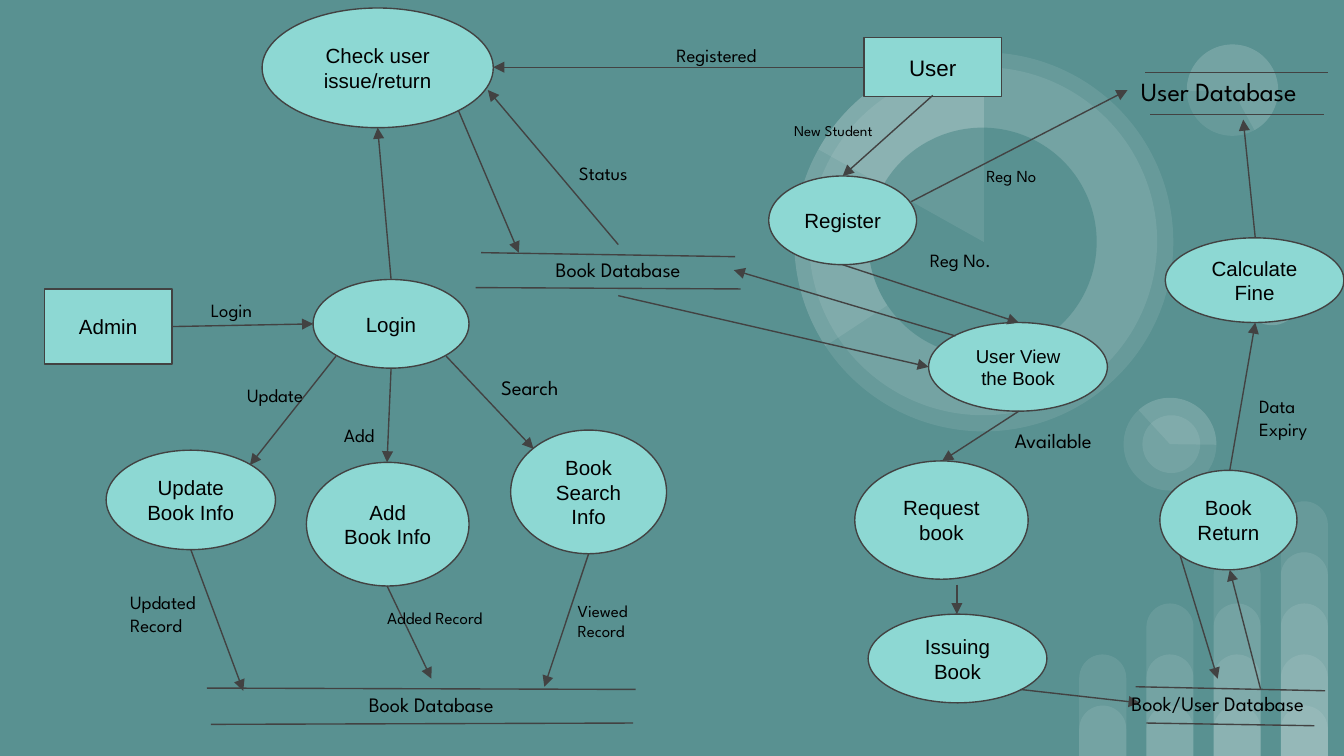
from typing import NamedTuple

from lxml import etree
from pptx import Presentation
from pptx import util as u
from pptx.dml.color import RGBColor
from pptx.enum import shapes, text
from pptx.oxml.ns import qn

COLORS = {"back": "599191", "node": "8DD8D3", "line": "424242",
          "text": "000000", "veil": "FFFFFF"}
SHAPE = shapes.MSO_SHAPE
SLIDE_W = 10
SLIDE_H = SLIDE_W * 9 / 16
VEIL_ALPHA = 9
PAD = 0.1


class Disc(NamedTuple):
    left: float
    top: float
    size: float
    turn: float = 0
    wedge: tuple[float, float] | None = None  # start and end in degrees
    color: str = "veil"


class Node(NamedTuple):
    label: str
    left: float
    top: float
    width: float
    height: float
    size: float = 11
    kind: SHAPE = SHAPE.OVAL


class Label(NamedTuple):
    wording: str
    left: float
    top: float
    width: float
    height: float
    size: float = 10
    centred: bool = False


class Line(NamedTuple):
    x1: float
    y1: float
    x2: float
    y2: float


DISCS = [
    Disc(9.25, 1.99, 0.43), Disc(9.25, 1.99, 0.43, 0, (322.95, 270)),
    Disc(7.08, 3.81, 0.35, 196.2), Disc(7.08, 3.81, 0.35, 196.2, (322.95, 270)),
    Disc(8.36, 2.96, 0.69, 90), Disc(8.36, 2.96, 0.69, 90, (137.41, 270.77)),
    Disc(8.5, 3.09, 0.43, 90),
    Disc(8.83, 0.33, 0.68, 215.9), Disc(8.83, 0.33, 0.68, 215.9, (322.95, 205.23)),
    Disc(5.91, 0.39, 2.82), Disc(6.02, 0.5, 2.59, 34.1),
    Disc(5.91, 0.39, 2.82, 0, (146.69, 270)),
    Disc(6.46, 0.95, 1.7, 34.1, color="back"),
    Disc(5.91, 0.39, 2.82, 0, (209.24, 270)),
]

NODES = [
    Node("Check user issue/return", 1.95, 0.06, 1.72, 0.89),
    Node("Register", 5.72, 1.31, 1.1, 0.66),
    Node("Book Return", 8.63, 3.5, 1.02, 0.74),
    Node("Calculate Fine", 8.67, 1.77, 1.33, 0.63),
    Node("Update Book Info", 0.79, 3.35, 1.26, 0.74),
    Node("User View the Book", 6.91, 2.4, 1.33, 0.66, 10),
    Node("Request book", 6.36, 3.43, 1.29, 0.88),
    Node("Issuing Book", 6.46, 4.57, 1.33, 0.66),
    Node("Login", 2.33, 2.08, 1.16, 0.66),
    Node("Add Book Info", 2.28, 3.44, 1.21, 0.92),
    Node("Book Search Info", 3.8, 3.2, 1.16, 0.92),
    Node("User", 6.43, 0.28, 1.02, 0.44, 12, SHAPE.FLOWCHART_PROCESS),
    Node("Admin", 0.33, 2.15, 0.95, 0.56, 11, SHAPE.FLOWCHART_PROCESS),
]

STORE_RULES = [
    Line(1.54, 5.12, 4.73, 5.13), Line(1.57, 5.39, 4.71, 5.38),
    Line(8.52, 0.54, 9.88, 0.54), Line(8.56, 0.85, 9.85, 0.85),
    Line(8.45, 5.11, 9.86, 5.14), Line(8.53, 5.38, 9.78, 5.4),
    Line(3.58, 1.88, 5.47, 1.91), Line(3.54, 2.14, 5.51, 2.15),
]

FLOWS = [
    Line(2.5, 2.65, 1.86, 3.46), Line(2.91, 2.74, 2.88, 3.44),
    Line(3.32, 2.65, 3.97, 3.34), Line(2.91, 2.08, 2.81, 0.95),
    Line(1.28, 2.43, 2.33, 2.41), Line(9.15, 3.5, 9.34, 2.4),
    Line(1.42, 4.09, 1.81, 5.14), Line(8.78, 4.13, 9.06, 5.05),
    Line(4.38, 4.12, 4.05, 5.11), Line(2.88, 4.36, 3.21, 5.05),
    Line(9.34, 1.77, 9.25, 0.89), Line(6.43, 0.5, 3.67, 0.5),
    Line(6.94, 0.71, 6.27, 1.31), Line(3.41, 0.82, 3.86, 1.88),
    Line(4.6, 1.82, 3.63, 0.67), Line(9.38, 5.13, 9.15, 4.24),
    Line(7.11, 2.5, 5.46, 2.01), Line(6.78, 1.5, 8.39, 0.67),
    Line(6.27, 1.97, 7.58, 2.4), Line(7.58, 3.06, 7.01, 3.43),
    Line(7.12, 4.35, 7.12, 4.57), Line(7.59, 5.13, 8.48, 5.23),
    Line(4.6, 2.2, 6.91, 2.73),
]

LABELS = [
    Label("User Database", 8.39, 0.46, 1.72, 0.44, 14),
    Label("Book/User Database", 8.32, 5.05, 1.75, 0.39, 11),
    Label("Book Database", 1.56, 5.06, 3.3, 0.39, 11, True),
    Label("Book Database", 3.74, 1.82, 1.72, 0.39, 11, True),
    Label("Registered", 4.67, 0.24, 1.32, 0.37, centred=True),
    Label("Updated\nRecord", 0.87, 4.3, 1.25, 0.54),
    Label("Status", 4.21, 1.12, 0.86, 0.37),
    Label("New Student", 5.81, 0.84, 0.89, 0.34, 8),
    Label("Viewed\nRecord", 4.2, 4.37, 1.16, 0.5, 9),
    Label("Added Record", 2.76, 4.45, 0.95, 0.5, 9, True),
    Label("Search", 3.63, 2.7, 0.95, 0.39, 11),
    Label("Login", 1.47, 2.14, 0.68, 0.37),
    Label("Update", 1.74, 2.77, 0.9, 0.37),
    Label("Data Expiry", 9.27, 2.84, 0.8, 0.54),
    Label("Add", 2.46, 3.07, 0.48, 0.37),
    Label("Available", 7.45, 3.09, 1.32, 0.39, 11),
    Label("Reg No", 7.24, 1.16, 0.77, 0.35, 9),
    Label("Reg No.", 6.82, 1.77, 0.86, 0.37),
]


def rgb(name: str) -> RGBColor:
    return RGBColor.from_string(COLORS[name])


def add_filled(slide, kind: SHAPE, box: tuple, color: str):
    shape = slide.shapes.add_shape(kind, *map(u.Inches, box))
    shape.shadow.inherit = False
    shape.fill.solid()
    shape.fill.fore_color.rgb = rgb(color)
    shape.line.fill.background()
    if color == "veil":
        tint = shape.fill._xPr.find(qn("a:solidFill"))[0]
        etree.SubElement(tint, qn("a:alpha"), val=str(VEIL_ALPHA * 1000))
    return shape


def add_bars(slide) -> None:
    """Stack rounded bars from the bottom edge, one more in each column."""
    for column in range(4):
        for level in range(column + 2):
            top = 5.25 - 0.38 * level
            box = (8.03 + 0.5 * column, top, 0.35, SLIDE_H - top)
            bar = add_filled(slide, SHAPE.ROUND_2_SAME_RECTANGLE, box, "veil")
            bar.adjustments[0] = 0.5


def add_disc(slide, disc: Disc) -> None:
    kind = SHAPE.PIE if disc.wedge else SHAPE.OVAL
    shape = add_filled(slide, kind, (disc.left, disc.top, disc.size, disc.size), disc.color)
    shape.rotation = disc.turn
    for index, degrees in enumerate(disc.wedge or ()):
        shape.adjustments[index] = degrees * 0.6  # 60000ths of a degree over 100000


def write(frame, wording: str, size: float, font: str, centred: bool) -> None:
    frame.word_wrap = True
    frame.margin_left = frame.margin_right = u.Inches(PAD)
    frame.margin_top = frame.margin_bottom = u.Inches(PAD)
    for index, words in enumerate(wording.split("\n")):
        paragraph = frame.add_paragraph() if index else frame.paragraphs[0]
        paragraph.alignment = text.PP_ALIGN.CENTER if centred else text.PP_ALIGN.LEFT
        run = paragraph.add_run()
        run.text = words
        run.font.size = u.Pt(size)
        run.font.name = font
        run.font.color.rgb = rgb("text")


def style_line(line) -> None:
    line.color.rgb = rgb("line")
    line.width = u.Pt(0.75)


def add_node(slide, node: Node) -> None:
    shape = add_filled(slide, node.kind, node[1:5], "node")
    style_line(shape.line)
    shape.text_frame.vertical_anchor = text.MSO_ANCHOR.MIDDLE
    write(shape.text_frame, node.label, node.size, "Arial", True)


def add_line(slide, line: Line, arrow: bool = False) -> None:
    connector = slide.shapes.add_connector(
        shapes.MSO_CONNECTOR.STRAIGHT, *map(u.Inches, line))
    style_line(connector.line)
    if arrow:
        etree.SubElement(connector.line._get_or_add_ln(), qn("a:tailEnd"), type="triangle")
    etree.SubElement(connector._element.spPr, qn("a:effectLst"))


def add_label(slide, label: Label) -> None:
    frame = slide.shapes.add_textbox(*map(u.Inches, label[1:5])).text_frame
    write(frame, label.wording, label.size, "League Spartan", label.centred)
    frame.auto_size = text.MSO_AUTO_SIZE.SHAPE_TO_FIT_TEXT


def main() -> None:
    deck = Presentation()
    deck.slide_width, deck.slide_height = u.Inches(SLIDE_W), u.Inches(SLIDE_H)
    slide = deck.slides.add_slide(deck.slide_layouts[6])
    slide.background.fill.solid()
    slide.background.fill.fore_color.rgb = rgb("back")
    add_bars(slide)
    for disc in DISCS:
        add_disc(slide, disc)
    for node in NODES:
        add_node(slide, node)
    for rule in STORE_RULES:
        add_line(slide, rule)
    for flow in FLOWS:
        add_line(slide, flow, arrow=True)
    for label in LABELS:
        add_label(slide, label)
    deck.save("out.pptx")


if __name__ == "__main__":
    main()
